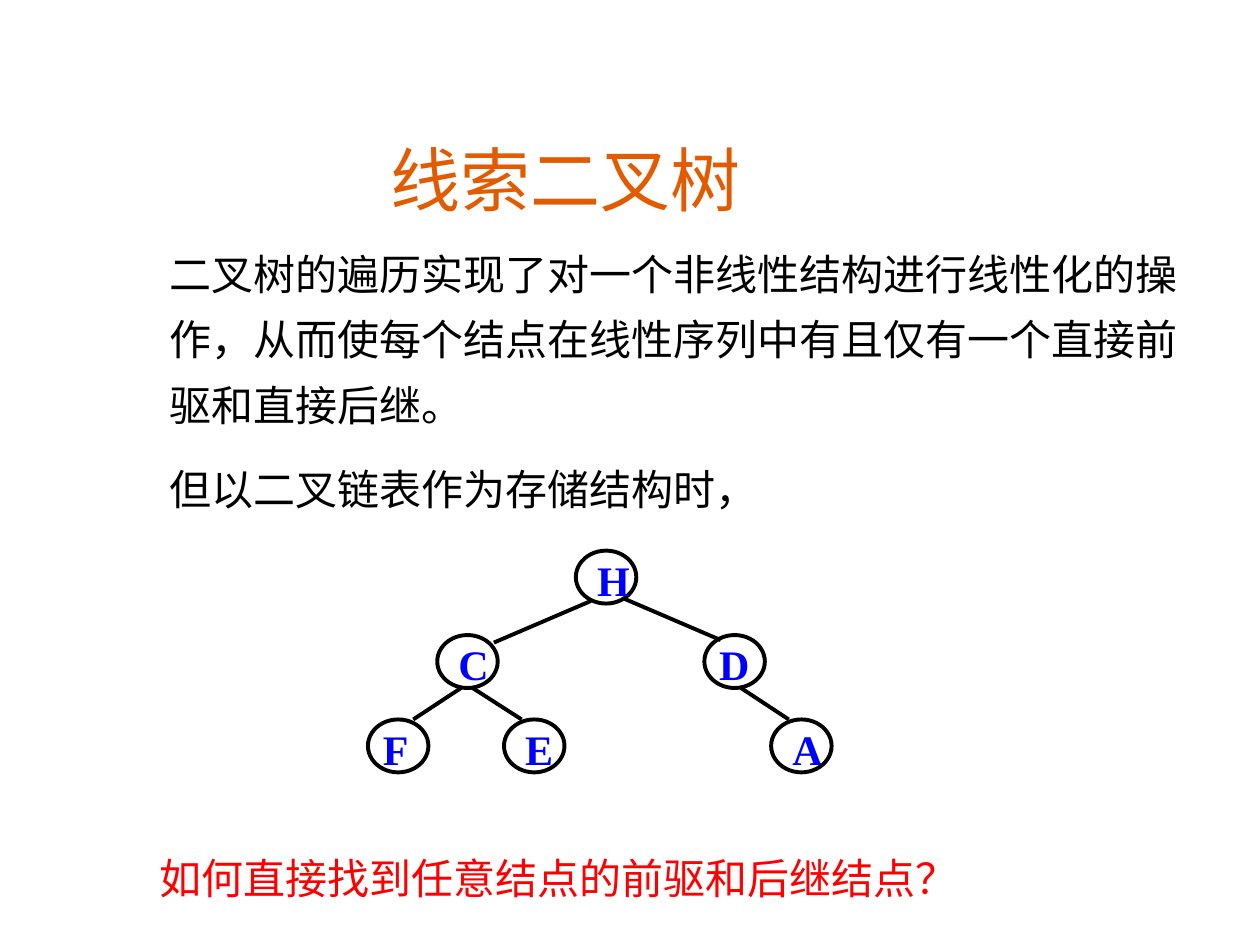
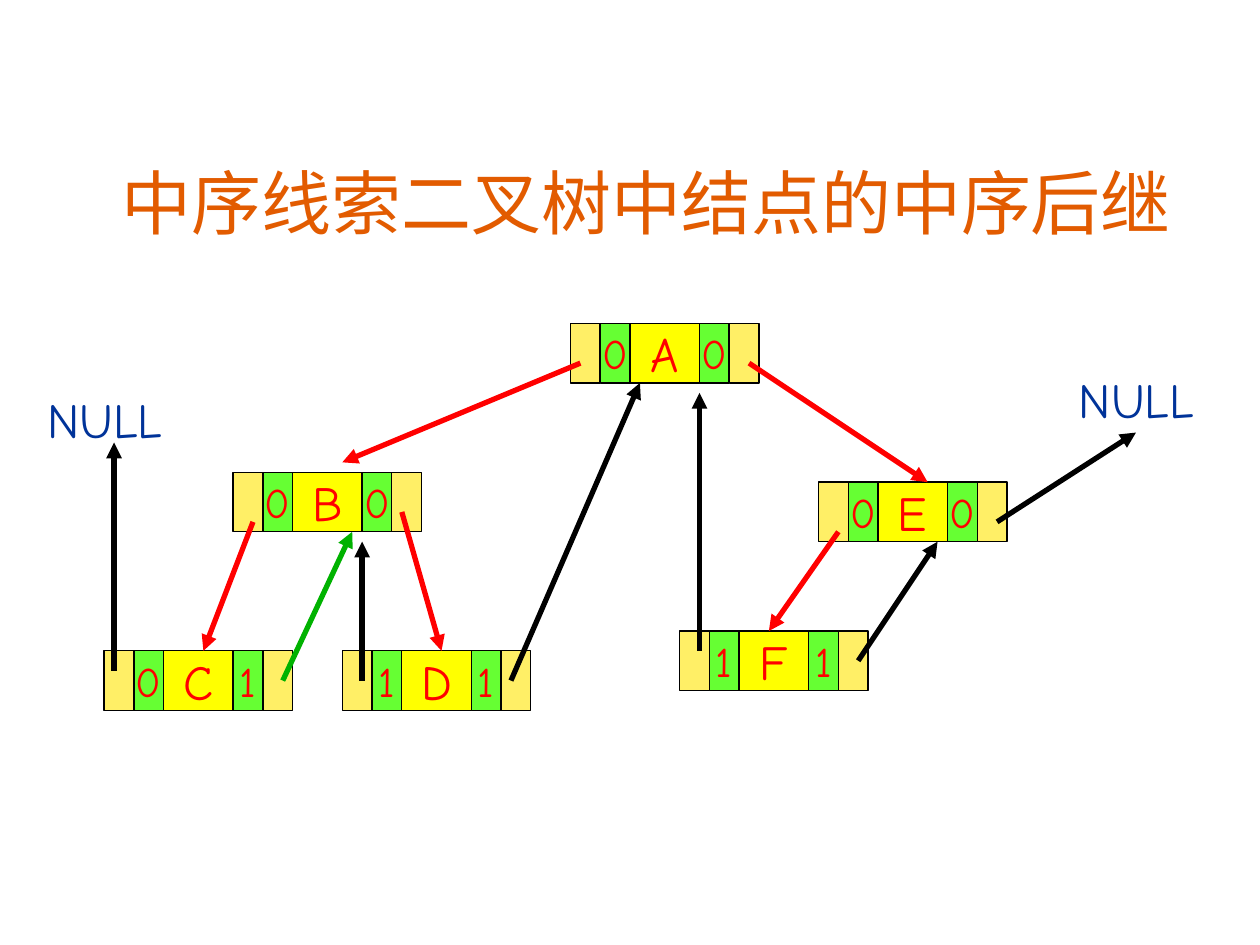
"""Build two slides on threaded binary trees."""
from dataclasses import dataclass
from itertools import accumulate
from typing import Any, NamedTuple

from lxml.etree import SubElement
from pptx import Presentation
from pptx.dml.color import RGBColor
from pptx.enum.shapes import MSO_CONNECTOR, MSO_SHAPE
from pptx.enum.text import MSO_ANCHOR, PP_ALIGN
from pptx.oxml.ns import qn
from pptx.util import Inches, Pt

WIDTH, HEIGHT = Inches(10), Inches(7.5)
BLACK, RED, GREEN, BLUE, NAVY = "000000", "FF0000", "00B200", "0000FF", "003399"
ORANGE, SAND, LIME, YELLOW = "E25B00", "FFEF66", "66FF33", "FFFF00"
ROMAN, COMIC = "Times New Roman", "Comic Neue"


class Grid(NamedTuple):
    """Columns and rows that span the slide, with a start offset."""
    cols: float
    rows: float
    left: float = 0
    top: float = 0

    def point(self, x: float, y: float) -> tuple[int, int]:
        """Turn a grid place into slide lengths."""
        return self.size(x + self.left, y + self.top)

    def size(self, wide: float, high: float) -> tuple[int, int]:
        """Turn a grid size into slide lengths."""
        return round(wide * WIDTH / self.cols), round(high * HEIGHT / self.rows)


class Box(NamedTuple):
    """A box in grid units."""
    x: float
    y: float
    wide: float
    high: float


@dataclass(frozen=True)
class Style:
    """The look of a text."""
    font: str
    size: int
    color: str
    bold: bool = False
    align: Any = PP_ALIGN.LEFT
    anchor: Any = MSO_ANCHOR.TOP
    wrap: bool = True
    space: float = 1.0


class Node(NamedTuple):
    """A tree node, with an indent for its letter."""
    name: str
    x: float
    y: float
    indent: float = 0


class Record(NamedTuple):
    """A linked node with its left and right tags."""
    x: float
    y: float
    ltag: str
    name: str
    rtag: str


class Line(NamedTuple):
    """A line between two grid places."""
    x: float
    y: float
    to_x: float
    to_y: float
    color: str = BLACK


TENTHS = Grid(100, 75)
LINKS = Grid(127, 95.25, 0.5, 0.6)

TITLE = Style(COMIC, 40, ORANGE, align=PP_ALIGN.CENTER, anchor=MSO_ANCHOR.BOTTOM)
PLAIN = Style(ROMAN, 24, BLACK)
LOOSE = Style(ROMAN, 24, BLACK, space=1.3)
ASK = Style(ROMAN, 24, RED)
LETTER = Style(ROMAN, 24, BLUE, bold=True)
NULL = Style(COMIC, 28, NAVY)
TAG, NAME = (Style(COMIC, size, RED, align=PP_ALIGN.CENTER,
                   anchor=MSO_ANCHOR.MIDDLE, wrap=False) for size in (24, 28))

PROSE = [
    (Box(12.5, 18, 84.2, 16.6), LOOSE,
     "二叉树的遍历实现了对一个非线性结构进行线性化的操作，"
     "从而使每个结点在线性序列中有且仅有一个直接前驱和直接后继。"),
    (Box(12.5, 36.3, 58.3, 5), PLAIN, "但以二叉链表作为存储结构时，"),
    (Box(11.7, 67.2, 75.8, 5), ASK, "如何直接找到任意结点的前驱和后继结点？"),
]
NODES = [
    Node("H", 45.7, 43.7, 0.5), Node("C", 34.7, 50.4, 0.5), Node("D", 55.9, 50.4),
    Node("F", 29.2, 57.1), Node("E", 40, 57.1, 0.5), Node("A", 61.2, 57.1, 0.5),
]
EDGES = [
    Line(46.9, 47.7, 39.2, 51), Line(49.5, 47.5, 57.2, 50.8),
    Line(36.6, 54.6, 32.8, 57.1), Line(37.5, 54.6, 41.4, 57.1),
    Line(58.8, 54.6, 62.6, 57.1),
]
RECORDS = [
    Record(57, 32, "0", "A", "0"), Record(23, 47, "0", "B", "0"),
    Record(10, 65, "0", "C", "1"), Record(34, 65, "1", "D", "1"),
    Record(82, 48, "0", "E", "0"), Record(68, 63, "1", "F", "1"),
]
ARROWS = [
    Line(58, 36, 34, 46, RED), Line(25, 52, 20, 65, RED), Line(40, 51, 44, 65, RED),
    Line(75, 36, 93, 48, RED), Line(84, 53, 77, 63, RED),
    Line(11, 67, 11, 44), Line(28, 68, 35, 53, GREEN), Line(36, 68, 36, 54),
    Line(51, 68, 64, 38), Line(70, 65, 70, 39), Line(86, 66, 94, 54),
    Line(100, 52, 114, 43),
]


def paint(code: str) -> RGBColor:
    """Return the colour of a hex string."""
    return RGBColor.from_string(code)


def apply(target: Any, values: dict[str, Any]) -> None:
    """Set each named value on the target."""
    for key, value in values.items():
        setattr(target, key, value)


def write(shape: Any, text: str, style: Style) -> None:
    """Put styled text in a shape."""
    frame = shape.text_frame
    part = frame.paragraphs[0]
    part.text = text
    apply(frame, {"word_wrap": style.wrap, "vertical_anchor": style.anchor})
    apply(part, {"alignment": style.align, "line_spacing": style.space})
    apply(part.runs[0].font, {"name": style.font, "size": Pt(style.size), "bold": style.bold})
    part.runs[0].font.color.rgb = paint(style.color)


def label(slide: Any, grid: Grid, box: Box, text: str, style: Style) -> None:
    """Add a text box."""
    place, size = grid.point(*box[:2]), grid.size(*box[2:])
    write(slide.shapes.add_textbox(*place, *size), text, style)


def block(slide: Any, kind: Any, grid: Grid, box: Box, fill: str | None, weight: float) -> Any:
    """Add an outlined shape, filled if a colour is given."""
    place, size = grid.point(*box[:2]), grid.size(*box[2:])
    shape = slide.shapes.add_shape(kind, *place, *size)
    shape.shadow.inherit = False
    if fill:
        shape.fill.solid()
        shape.fill.fore_color.rgb = paint(fill)
    else:
        shape.fill.background()
    shape.line.color.rgb = paint(BLACK)
    shape.line.width = Pt(weight)
    return shape


def link(slide: Any, grid: Grid, line: Line, weight: float, head: bool = False) -> None:
    """Add a line, with an arrowhead at its end if asked."""
    start, end = grid.point(line.x, line.y), grid.point(line.to_x, line.to_y)
    shape = slide.shapes.add_connector(MSO_CONNECTOR.STRAIGHT, *start, *end)
    shape.line.color.rgb = paint(line.color)
    shape.line.width = Pt(weight)
    if head:
        SubElement(shape.line._get_or_add_ln(), qn("a:tailEnd"), type="triangle")
    SubElement(shape._element.spPr, qn("a:effectLst"))


def draw_node(slide: Any, node: Node) -> None:
    """Draw a round node and its letter."""
    block(slide, MSO_SHAPE.OVAL, TENTHS, Box(node.x, node.y, 4.8, 4.2), None, 2.25)
    spot = Box(node.x + 0.2 + node.indent, node.y - 0.2, 6.7, 5)
    label(slide, TENTHS, spot, node.name, LETTER)


def draw_record(slide: Any, record: Record) -> None:
    """Draw the five fields of a linked node."""
    widths = (3, 3, 7, 3, 3)
    lefts = accumulate(widths[:-1], initial=record.x)
    fills = (SAND, LIME, YELLOW, LIME, SAND)
    texts = ("", record.ltag, record.name, record.rtag, "")
    for left, wide, fill, text in zip(lefts, widths, fills, texts):
        cell = block(slide, MSO_SHAPE.RECTANGLE, LINKS, Box(left, record.y, wide, 6), fill, 0.75)
        if text:
            write(cell, text, NAME if fill == YELLOW else TAG)


def draw_tree(slide: Any) -> None:
    """Draw the slide on traversal and storage."""
    label(slide, TENTHS, Box(2.4, 10.1, 85, 7.9), "线索二叉树", TITLE)
    for box, style, text in PROSE:
        label(slide, TENTHS, box, text, style)
    for node in NODES:
        draw_node(slide, node)
    for edge in EDGES:
        link(slide, TENTHS, edge, 2.25)


def draw_threads(slide: Any) -> None:
    """Draw the slide on inorder threads."""
    label(slide, TENTHS, Box(7.7, 11.5, 87.2, 8.3), "中序线索二叉树中结点的中序后继", TITLE)
    for record in RECORDS:
        draw_record(slide, record)
    for x, y in ((3, 38), (107, 36)):
        label(slide, LINKS, Box(x, y, 17, 7.2), "NULL", NULL)
    for arrow in ARROWS:
        link(slide, LINKS, arrow, 3, head=True)


def main() -> None:
    """Build and save the slides."""
    deck = Presentation()
    apply(deck, {"slide_width": WIDTH, "slide_height": HEIGHT})
    for draw in (draw_tree, draw_threads):
        draw(deck.slides.add_slide(deck.slide_layouts[6]))
    deck.save("out.pptx")


if __name__ == "__main__":
    main()
